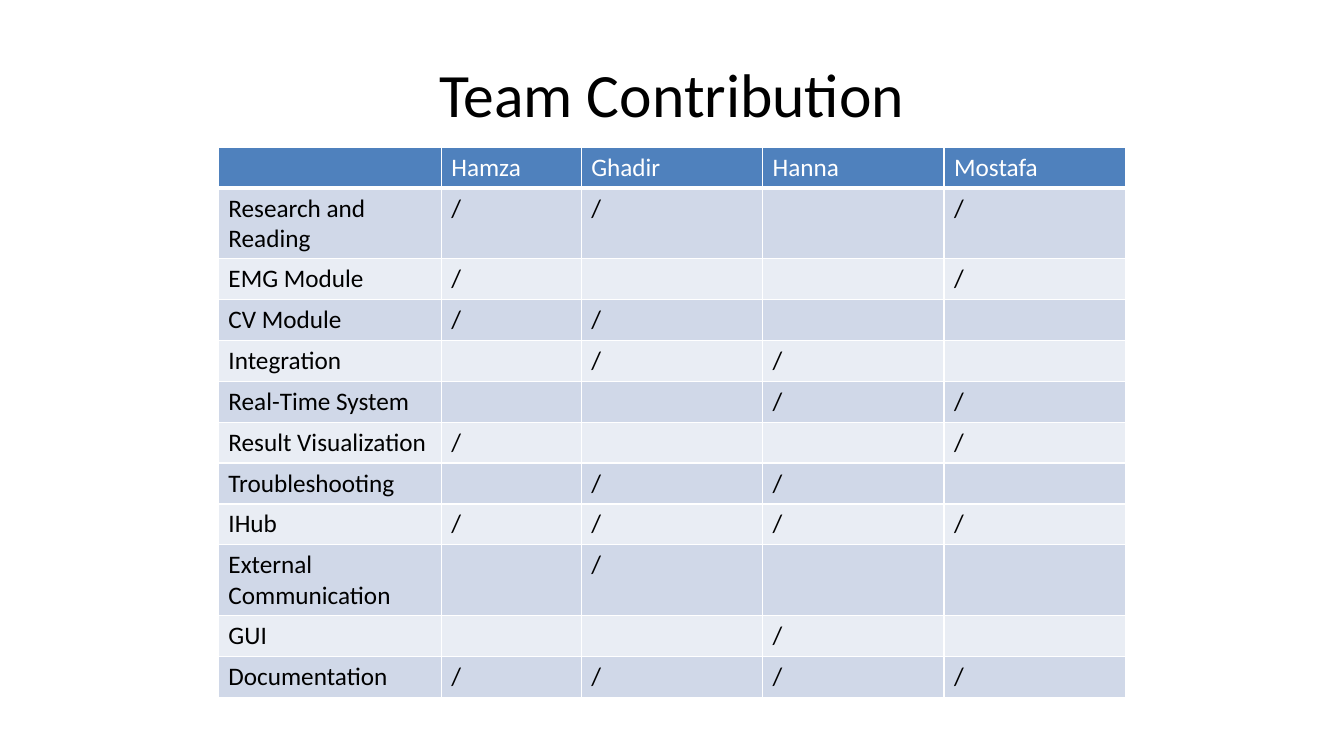
from dataclasses import dataclass

from lxml.etree import SubElement
from pptx import Presentation
from pptx.dml.color import RGBColor
from pptx.enum.text import MSO_ANCHOR, PP_ALIGN
from pptx.oxml.ns import qn
from pptx.slide import Slide
from pptx.table import _Cell
from pptx.text.text import TextFrame
from pptx.util import Inches, Length, Pt


@dataclass(frozen=True)
class Theme:
    font: str = "Calibri"
    title_size: int = 44
    table_size: int = 18
    text: str = "000000"
    header_text: str = "FFFFFF"
    header_fill: str = "4F81BD"
    bands: tuple[str, str] = ("D0D8E8", "E9EDF4")
    border: str = "FFFFFF"
    border_width: int = 1
    header_rule_width: int = 3


@dataclass(frozen=True)
class Task:
    name: str
    contributors: tuple[str, ...]


THEME = Theme()
SLIDE_WIDTH, SLIDE_HEIGHT = Inches(13.33), Inches(7.5)
GRID_COLUMNS, GRID_ROWS = 120, 100

TITLE_BOX = (6, 4, 108, 16.67)
TABLE_LEFT, TABLE_TOP = 19.5, 19.47
COLUMN_SPANS = (19.9, 12.5, 16.2, 16.2, 16.2)
ROW_SPAN = 5.41

HAMZA, GHADIR, HANNA, MOSTAFA = MEMBERS = ("Hamza", "Ghadir", "Hanna", "Mostafa")
TASKS = (
    Task("Research and Reading", (HAMZA, GHADIR, MOSTAFA)),
    Task("EMG Module", (HAMZA, MOSTAFA)),
    Task("CV Module", (HAMZA, GHADIR)),
    Task("Integration", (GHADIR, HANNA)),
    Task("Real-Time System", (HANNA, MOSTAFA)),
    Task("Result Visualization", (HAMZA, MOSTAFA)),
    Task("Troubleshooting", (GHADIR, HANNA)),
    Task("IHub", MEMBERS),
    Task("External Communication", (GHADIR,)),
    Task("GUI", (HANNA,)),
    Task("Documentation", MEMBERS),
)


def across(columns: float) -> Length:
    return Length(round(SLIDE_WIDTH * columns / GRID_COLUMNS))


def down(rows: float) -> Length:
    return Length(round(SLIDE_HEIGHT * rows / GRID_ROWS))


def write(frame: TextFrame, text: str, *, size: int, color: str,
          align: PP_ALIGN = PP_ALIGN.LEFT) -> None:
    paragraph = frame.paragraphs[0]
    paragraph.alignment = align
    paragraph.font.size = Pt(size)
    if not text:
        return
    run = paragraph.add_run()
    run.text = text
    run.font.name = THEME.font
    run.font.size = Pt(size)
    run.font.bold = False
    run.font.color.rgb = RGBColor.from_string(color)


def add_borders(cell: _Cell, bottom_width: int) -> None:
    properties = cell._tc.get_or_add_tcPr()
    for side in "LRTB":
        width = bottom_width if side == "B" else THEME.border_width
        line = SubElement(properties, qn(f"a:ln{side}"), w=str(Pt(width)))
        fill = SubElement(line, qn("a:solidFill"))
        SubElement(fill, qn("a:srgbClr"), val=THEME.border)


def fill_row(cells: list[_Cell], texts: list[str], *, fill: str, color: str,
             bottom_width: int) -> None:
    for cell, text in zip(cells, texts):
        add_borders(cell, bottom_width)
        cell.fill.solid()
        cell.fill.fore_color.rgb = RGBColor.from_string(fill)
        write(cell.text_frame, text, size=THEME.table_size, color=color)


def add_title(slide: Slide) -> None:
    left, top, width, height = TITLE_BOX
    title = slide.shapes.add_textbox(across(left), down(top), across(width), down(height))
    title.text_frame.word_wrap = True
    title.text_frame.vertical_anchor = MSO_ANCHOR.MIDDLE
    write(title.text_frame, "Team Contribution", size=THEME.title_size,
          color=THEME.text, align=PP_ALIGN.CENTER)


def add_contributions(slide: Slide) -> None:
    row_count = len(TASKS) + 1
    table = slide.shapes.add_table(
        row_count, len(COLUMN_SPANS), across(TABLE_LEFT), down(TABLE_TOP),
        across(sum(COLUMN_SPANS)), down(ROW_SPAN * row_count)).table
    for column, span in zip(table.columns, COLUMN_SPANS):
        column.width = across(span)
    for row in table.rows:
        row.height = down(ROW_SPAN)

    header, *body = [list(row.cells) for row in table.rows]
    fill_row(header, ["", *MEMBERS], fill=THEME.header_fill,
             color=THEME.header_text, bottom_width=THEME.header_rule_width)
    for index, (cells, task) in enumerate(zip(body, TASKS)):
        marks = ["/" if member in task.contributors else "" for member in MEMBERS]
        fill_row(cells, [task.name, *marks], fill=THEME.bands[index % 2],
                 color=THEME.text, bottom_width=THEME.border_width)


def main() -> None:
    presentation = Presentation()
    presentation.slide_width, presentation.slide_height = SLIDE_WIDTH, SLIDE_HEIGHT
    slide = presentation.slides.add_slide(presentation.slide_layouts[6])
    add_title(slide)
    add_contributions(slide)
    presentation.save("out.pptx")


if __name__ == "__main__":
    main()
